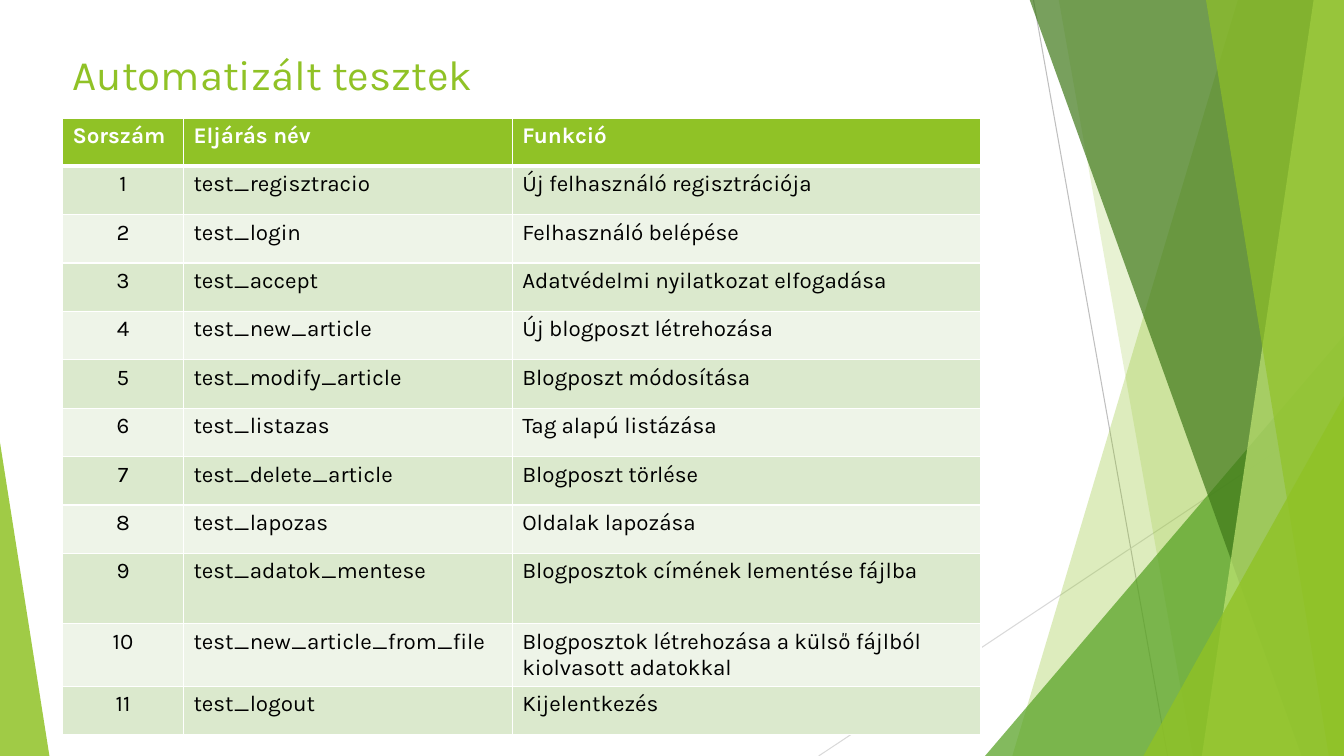
from dataclasses import dataclass

import pptx
import pptx.dml.color
import pptx.enum.shapes
import pptx.enum.text
import pptx.oxml
import pptx.oxml.ns
import pptx.util

PX = 9144  # EMU per px, 100 px to the inch
W, H = 1333, 750
FONT = "Karla"
COLORS = {
    "lime": "90C226", "green": "54A021", "forest": "3F7819", "pale": "C0E474",
    "grey": "BFBFBF", "silver": "D9D9D9", "white": "FFFFFF", "black": "000000",
    "odd": "DBE9CD", "even": "EEF4E8",
}


@dataclass
class Line:
    x1: int
    y1: int
    x2: int
    y2: int
    color: str


@dataclass
class Shard:
    """A band from the top edge to the bottom edge, closed by the right edge."""
    top_x: int
    bottom_x: int
    color: str
    alpha: int


@dataclass
class Corner:
    """A right triangle whose apex lies over its left (0) or right (1) end."""
    x: int
    y: int
    w: int
    h: int
    apex: int
    color: str
    alpha: int


DECORATION = [
    Line(1025, 0, 1158, H, "grey"),
    Line(W, 403, 812, H, "silver"),
    Shard(1228, 1004, "lime", 30),
    Shard(1050, 1183, "lime", 20),
    Corner(977, 333, 356, 417, 1, "green", 72),
    Shard(1021, 1291, "forest", 70),
    Shard(1303, 1192, "pale", 70),
    Shard(1196, 1318, "lime", 65),
    Corner(1134, 393, 199, 357, 1, "lime", 80),
    Corner(0, 439, 49, 311, 0, "lime", 85),
]

HEADER = ("Sorszám", "Eljárás név", "Funkció")
TESTS = [
    ("test_regisztracio", "Új felhasználó regisztrációja"),
    ("test_login", "Felhasználó belépése"),
    ("test_accept", "Adatvédelmi nyilatkozat elfogadása"),
    ("test_new_article", "Új blogposzt létrehozása"),
    ("test_modify_article", "Blogposzt módosítása"),
    ("test_listazas", "Tag alapú listázása"),
    ("test_delete_article", "Blogposzt törlése"),
    ("test_lapozas", "Oldalak lapozása"),
    ("test_adatok_mentese", "Blogposztok címének lementése fájlba"),
    ("test_new_article_from_file",
     "Blogposztok létrehozása a külső fájlból kiolvasott adatokkal"),
    ("test_logout", "Kijelentkezés"),
]
COL_WIDTHS = (120, 326, 465)
ROW_HEIGHT, TALL_ROW, TALL_HEIGHT = 48, 9, 70


def rgb(name: str) -> pptx.dml.color.RGBColor:
    return pptx.dml.color.RGBColor.from_string(COLORS[name])


def format_runs(p, size: int, color: str, bold: bool = False) -> None:
    for r in p.runs:
        r.font.name = FONT
        r.font.size = pptx.util.Pt(size)
        r.font.bold = bold
        r.font.color.rgb = rgb(color)


def fill_shape(sp, color: str, alpha: int) -> None:
    sp.shadow.inherit = False
    sp.line.fill.background()
    sp.fill.solid()
    sp.fill.fore_color.rgb = rgb(color)
    clr = sp._element.spPr.find(".//" + pptx.oxml.ns.qn("a:srgbClr"))
    clr.append(pptx.oxml.parse_xml(
        f'<a:alpha {pptx.oxml.ns.nsdecls("a")} val="{alpha * 1000}"/>'))


def draw_line(s, line: Line) -> None:
    cx = s.shapes.add_connector(
        pptx.enum.shapes.MSO_CONNECTOR.STRAIGHT,
        line.x1 * PX, line.y1 * PX, line.x2 * PX, line.y2 * PX)
    cx.line.color.rgb = rgb(line.color)
    cx.line.width = pptx.util.Pt(0.75)
    cx._element.spPr.append(pptx.oxml.parse_xml(
        f'<a:effectLst {pptx.oxml.ns.nsdecls("a")}/>'))


def draw_shard(s, shard: Shard) -> None:
    builder = s.shapes.build_freeform(shard.top_x, -1, scale=PX)
    builder.add_line_segments([(W, -1), (W, H), (shard.bottom_x, H)], close=True)
    fill_shape(builder.convert_to_shape(), shard.color, shard.alpha)


def draw_corner(s, corner: Corner) -> None:
    sp = s.shapes.add_shape(
        pptx.enum.shapes.MSO_SHAPE.ISOSCELES_TRIANGLE,
        corner.x * PX, corner.y * PX, corner.w * PX, corner.h * PX)
    sp.adjustments[0] = corner.apex
    fill_shape(sp, corner.color, corner.alpha)


def border_cell(cell, top: int, bottom: int) -> None:
    tcPr = cell._tc.get_or_add_tcPr()
    for side, width in (("L", 1), ("R", 1), ("T", top), ("B", bottom)):
        tcPr.append(pptx.oxml.parse_xml(
            f'<a:ln{side} {pptx.oxml.ns.nsdecls("a")} w="{pptx.util.Pt(width)}">'
            f'<a:solidFill><a:srgbClr val="{COLORS["white"]}"/></a:solidFill>'
            f'</a:ln{side}>'))


def draw_title(s) -> None:
    title = s.shapes.title
    title.left, title.top, title.width, title.height = (
        v * PX for v in (62, 40, 940, 50))
    tf = title.text_frame
    tf.text = "Automatizált tesztek"
    tf.word_wrap = True
    tf.auto_size = pptx.enum.text.MSO_AUTO_SIZE.NONE
    tf.vertical_anchor = pptx.enum.text.MSO_ANCHOR.TOP
    tf.margin_top = 8 * PX
    p = tf.paragraphs[0]
    p.alignment = pptx.enum.text.PP_ALIGN.LEFT
    format_runs(p, 30, "lime")


def draw_tests(s) -> None:
    rows = [HEADER] + [(str(n), *test) for n, test in enumerate(TESTS, 1)]
    table = s.shapes.add_table(
        len(rows), len(HEADER), 62 * PX, 117 * PX,
        sum(COL_WIDTHS) * PX, ROW_HEIGHT * len(rows) * PX).table
    table.horz_banding = False
    for column, width in zip(table.columns, COL_WIDTHS):
        column.width = width * PX
    for i, texts in enumerate(rows):
        table.rows[i].height = (TALL_HEIGHT if i == TALL_ROW else ROW_HEIGHT) * PX
        header = i == 0
        fill = "lime" if header else "odd" if i % 2 else "even"
        for j, text in enumerate(texts):
            cell = table.cell(i, j)
            border_cell(cell, top=3 if i == 1 else 1, bottom=3 if header else 1)
            cell.fill.solid()
            cell.fill.fore_color.rgb = rgb(fill)
            p = cell.text_frame.paragraphs[0]
            p.text = text
            if j == 0 and not header:
                p.alignment = pptx.enum.text.PP_ALIGN.CENTER
            format_runs(p, 16, "white" if header else "black", bold=header)


def main() -> None:
    prs = pptx.Presentation()
    prs.slide_width, prs.slide_height = W * PX, H * PX
    s = prs.slides.add_slide(prs.slide_layouts.get_by_name("Title Only"))
    draw = {Line: draw_line, Shard: draw_shard, Corner: draw_corner}
    for item in DECORATION:
        draw[type(item)](s, item)
    draw_title(s)
    draw_tests(s)
    prs.save("out.pptx")


if __name__ == "__main__":
    main()
